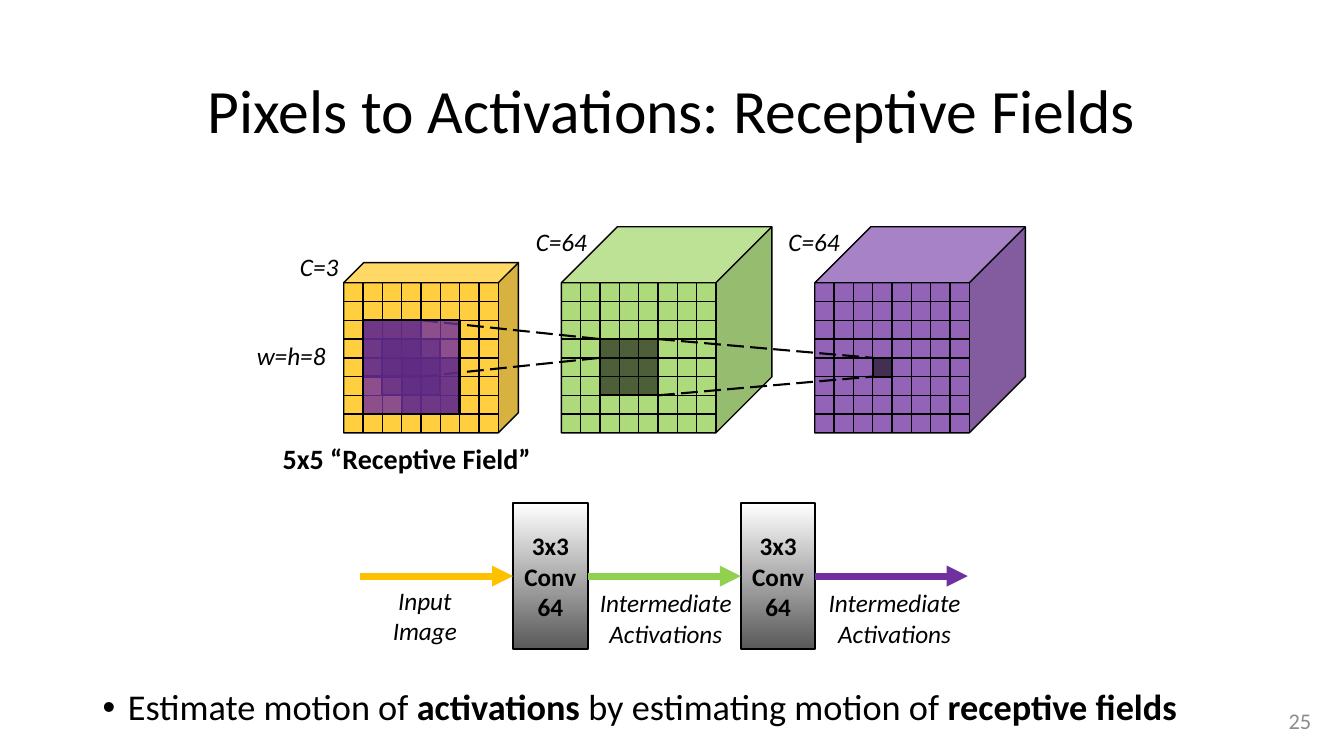
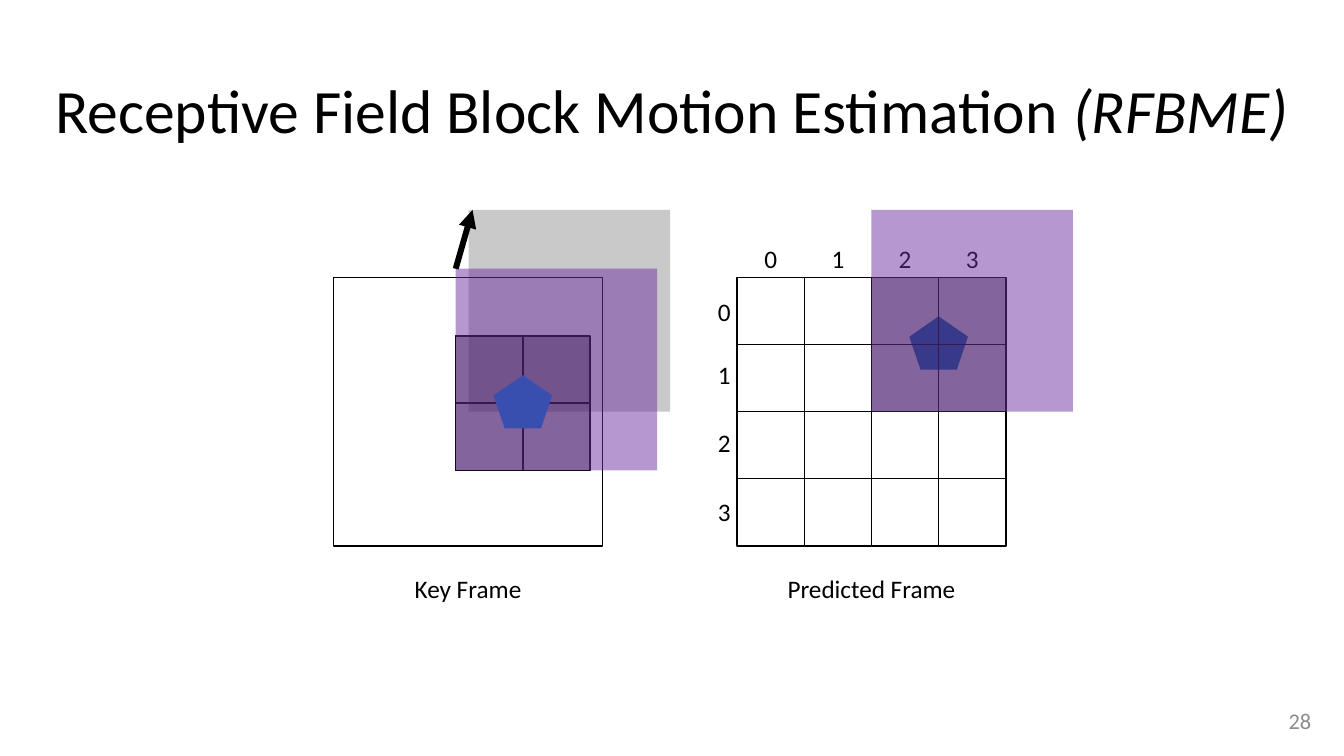
from lxml import etree
from pptx import Presentation
from pptx.dml.color import RGBColor
from pptx.enum.dml import MSO_LINE
from pptx.enum.shapes import MSO_CONNECTOR, MSO_SHAPE
from pptx.enum.text import MSO_ANCHOR, PP_ALIGN
from pptx.oxml.ns import qn
from pptx.util import Pt

BLACK = RGBColor(0x00, 0x00, 0x00)
WHITE = RGBColor(0xFF, 0xFF, 0xFF)
INK = RGBColor(0x0D, 0x0D, 0x0D)
DARK = RGBColor(0x59, 0x59, 0x59)
GREY = RGBColor(0x8C, 0x8C, 0x8C)
GOLD = RGBColor(0xFF, 0xC0, 0x00)
GREEN = RGBColor(0x92, 0xD0, 0x50)
PURPLE = RGBColor(0x70, 0x30, 0xA0)
BLUE = RGBColor(0x00, 0x70, 0xC0)

RECT = MSO_SHAPE.RECTANGLE
CUBE = MSO_SHAPE.CUBE
PENTAGON = MSO_SHAPE.REGULAR_PENTAGON
STRAIGHT = MSO_CONNECTOR.STRAIGHT
DASH = MSO_LINE.LONG_DASH
LEFT, CENTER, RIGHT = PP_ALIGN.LEFT, PP_ALIGN.CENTER, PP_ALIGN.RIGHT
TOP, MIDDLE = MSO_ANCHOR.TOP, MSO_ANCHOR.MIDDLE

FONT = "Calibri"
COUNT = 8
CELL_W, CELL_H = 13.8, 13.4
FRONT = 202
TILE = 48


class Deck:
    def __init__(self):
        self.show = Presentation()
        self.show.slide_width = Pt(960)
        self.show.slide_height = Pt(540)
        self.slide = None

    def page(self, title, number):
        self.slide = self.show.slides.add_slide(self.show.slide_layouts[6])
        self.text(0, 29, 960, 104, [title], 44, anchor=MIDDLE, space=0.9)
        self.text(728, 500, 208.7, 29, [number], 16, GREY, align=RIGHT, anchor=MIDDLE)

    def label(self, frame, paras, size, color=BLACK, bold=False, italic=False,
              align=CENTER, anchor=TOP, space=None, bullet=None):
        frame.word_wrap = True
        frame.vertical_anchor = anchor
        frame.margin_left = frame.margin_right = 0
        for i, runs in enumerate(paras):
            para = frame.paragraphs[0] if i == 0 else frame.add_paragraph()
            para.alignment = align
            if space:
                para.line_spacing = space
            if bullet:
                props = para._p.get_or_add_pPr()
                props.set("marL", str(Pt(18)))
                props.set("indent", str(Pt(-18)))
                etree.SubElement(props, qn("a:buFont")).set("typeface", "Arial")
                etree.SubElement(props, qn("a:buChar")).set("char", bullet)
            font = para.font
            font.name, font.size, font.color.rgb = FONT, Pt(size), color
            font.bold, font.italic = bold, italic
            for part in [runs] if isinstance(runs, str) else runs:
                words, style = (part, "") if isinstance(part, str) else part
                run = para.add_run()
                run.text = words
                if style == "b":
                    run.font.bold = True
                elif style == "i":
                    run.font.italic = True

    def text(self, x, y, w, h, paras, size=18, color=BLACK, **style):
        box = self.slide.shapes.add_textbox(Pt(x), Pt(y), Pt(w), Pt(h))
        self.label(box.text_frame, paras, size, color, **style)

    def shape(self, kind, x, y, w, h, fill=None, alpha=100, line=None):
        item = self.slide.shapes.add_shape(kind, Pt(x), Pt(y), Pt(w), Pt(h))
        item.shadow.inherit = False
        if fill is None:
            item.fill.background()
        else:
            item.fill.solid()
            item.fill.fore_color.rgb = fill
            if alpha < 100:
                tint = item.element.spPr.find(qn("a:solidFill"))[0]
                etree.SubElement(tint, qn("a:alpha")).set("val", str(alpha * 1000))
        if line is None:
            item.line.fill.background()
        else:
            item.line.color.rgb = BLACK
            item.line.width = Pt(line)
        return item

    def line(self, start, end, color=BLACK, width=1, dash=None, head=False):
        link = self.slide.shapes.add_connector(
            STRAIGHT, Pt(start[0]), Pt(start[1]), Pt(end[0]), Pt(end[1]))
        link.line.color.rgb = color
        link.line.width = Pt(width)
        if dash:
            link.line.dash_style = dash
        props = link.element.spPr
        if head:
            etree.SubElement(props.find(qn("a:ln")), qn("a:tailEnd")).set("type", "triangle")
        etree.SubElement(props, qn("a:effectLst"))
        return link

    def cube(self, left, depth, color):
        w, h = COUNT * CELL_W + depth, COUNT * CELL_H + depth
        item = self.shape(CUBE, left, FRONT - depth, w, h, color, 75, 1)
        item.adjustments[0] = depth / h

    def grid(self, left):
        for i in range(1, COUNT):
            self.line(spot(left, i, 0), spot(left, i, COUNT))
            self.line(spot(left, 0, i), spot(left, COUNT, i))

    def window(self, left, col, row, span, color=INK, alpha=60):
        x, y = spot(left, col, row)
        self.shape(RECT, x, y, span * CELL_W, span * CELL_H, color, alpha, 1.5)

    def conv(self, x):
        box = self.shape(RECT, x, 359.3, 53.3, 104.4, WHITE, line=1.5)
        box.fill.gradient()
        box.fill.gradient_angle = 90
        for stop, color in zip(box.fill.gradient_stops, (DARK, WHITE)):
            stop.color.rgb = color
        self.label(box.text_frame, ["3x3 Conv", "64"], 18, bold=True, anchor=MIDDLE)
        return box

    def tile(self, x, y, dark):
        self.shape(RECT, x, y, TILE, TILE, BLACK if dark else None, 40, 1)

    def field(self, x, y, color=PURPLE, alpha=50):
        self.shape(RECT, x, y, 3 * TILE, 3 * TILE, color, alpha)

    def mark(self, x, y):
        self.shape(PENTAGON, x + TILE - 21, y + 76, 42, 38, BLUE)


def spot(left, col, row):
    return left + col * CELL_W, FRONT + row * CELL_H


def fields(deck):
    deck.page("Pixels to Activations: Receptive Fields", "25")
    image, mid, last = 245.5, 401, 582
    for left, depth, color in ((image, 14.4, GOLD), (mid, 40, GREEN), (last, 40, PURPLE)):
        deck.cube(left, depth, color)
        deck.grid(left)
    for x, y, w, name in ((196.5, 175.7, 63, "C=3"), (369.5, 158.4, 63, "C=64"),
                          (550, 158.4, 63, "C=64"), (171.5, 239.8, 73, "w=h=8")):
        deck.text(x, y, w, 29, [name], italic=True)

    deck.window(last, 3, 4, 1)
    deck.window(mid, 2, 3, 3)
    for i in range(3):
        deck.window(image, 1 + i, 2 + i, 3)
    for start, end in ((spot(mid, 5, 3), spot(last, 3, 4)),
                       (spot(mid, 5, 6), spot(last, 3, 5)),
                       (spot(image, 4, 2), spot(mid, 2, 3)),
                       (spot(image, 4, 5), spot(mid, 2, 4))):
        deck.line(start, end, width=1.5, dash=DASH)
    deck.window(image, 1, 2, 5, PURPLE, 80)
    deck.text(180.7, 311.8, 219.6, 32, ["5x5 “Receptive Field”"], 20, bold=True)

    first, second = deck.conv(366.5), deck.conv(529.2)
    y = 411.5
    for x, end, color, source, target in ((257, 366.5, GOLD, None, first),
                                          (419.8, 529.2, GREEN, first, second),
                                          (582.5, 691.2, PURPLE, second, None)):
        link = deck.line((x, y), (end, y), color, 5, head=True)
        if source:
            link.begin_connect(source, 3)
        if target:
            link.end_connect(target, 1)
    deck.text(272.2, 414.7, 62.6, 51, ["Input Image"], italic=True)
    for x in (417.6, 581):
        deck.text(x, 416.2, 116, 51, ["Intermediate", "Activations"], italic=True)
    deck.text(73.4, 489, 814, 36,
              [["Estimate motion of ", ("activations", "b"),
                " by estimating motion of ", ("receptive fields", "b")]],
              25.9, align=LEFT, space=0.9, bullet="•")


def motion(deck):
    deck.page(["Receptive Field Block Motion Estimation ", ("(RFBME)", "i")], "28")
    top, key, grid = 198, 238.3, 526.5
    side = 4 * TILE
    deck.shape(RECT, key, top, side, side, line=1)
    for x, name in ((key, "Key Frame"), (grid, "Predicted Frame")):
        deck.text(x, 406, side, 29, [name])

    x, y = grid + 2 * TILE, top - TILE
    deck.mark(x, y)
    for row, high in enumerate((208, 253, 302, 351)):
        deck.text(505.4, high, 24, 29, [str(row)])
        deck.text(grid + row * TILE, 170, TILE, 29, [str(row)])
        for col in range(4):
            deck.tile(grid + col * TILE, top + row * TILE, row < 2 <= col)
    deck.field(x, y)

    x, low = 325.5, 192
    deck.field(334.8, y, BLACK, 21)
    for row in range(2):
        for col in range(2):
            deck.tile(x + col * TILE, low + (row + 1) * TILE, True)
    deck.line((x, low), (337.5, y), width=4.25, head=True)
    deck.mark(x, low)
    deck.field(x, low)


def main():
    deck = Deck()
    fields(deck)
    motion(deck)
    deck.show.save("out.pptx")


if __name__ == "__main__":
    main()
